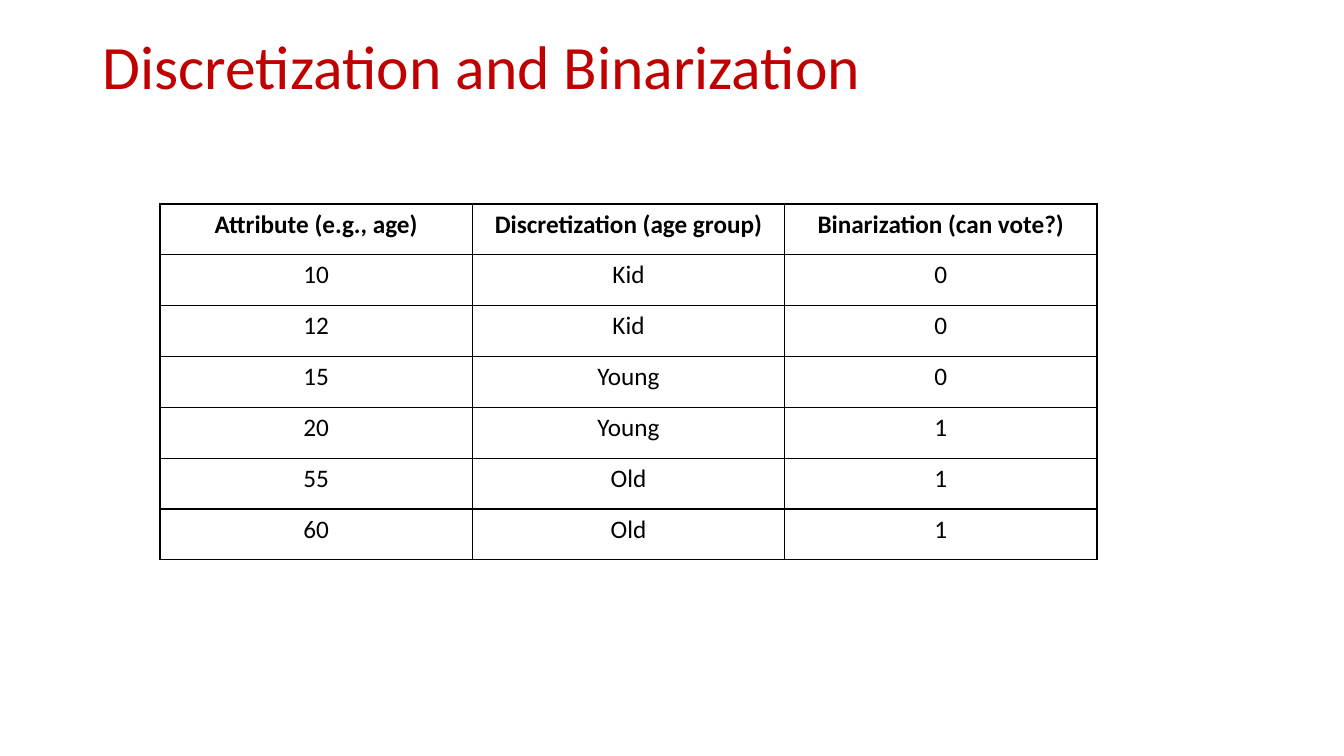
from dataclasses import dataclass

from lxml import etree
from pptx import Presentation, util as u
from pptx.dml.color import RGBColor
from pptx.enum import text
from pptx.oxml.ns import qn

EMU_PER_PX = 914400 / 100.8


def px(length):
    return u.Emu(round(length * EMU_PER_PX))


@dataclass(frozen=True)
class Theme:
    font: str = "Calibri"
    title_color: str = "C00000"
    ink: str = "000000"
    title_size: int = 44
    table_size: int = 18
    border_width: int = 1


class SlideBuilder:
    def __init__(self, slide, theme):
        self.slide = slide
        self.theme = theme

    def style(self, paragraph, size, color, bold=False):
        font = paragraph.font
        font.name, font.size, font.bold = self.theme.font, u.Pt(size), bold
        font.color.rgb = RGBColor.from_string(color)

    def title(self, left, top, width, height, words):
        shape = self.slide.shapes.add_textbox(px(left), px(top), px(width), px(height))
        frame = shape.text_frame
        frame.word_wrap = True
        frame.vertical_anchor = text.MSO_ANCHOR.MIDDLE
        paragraph = frame.paragraphs[0]
        paragraph.text = words
        paragraph.line_spacing = 0.9
        self.style(paragraph, self.theme.title_size, self.theme.title_color)

    def outline(self, cell):
        """Draw a solid border on all four sides of a cell."""
        properties = cell._tc.get_or_add_tcPr()
        for side in ("lnL", "lnR", "lnT", "lnB"):
            line = etree.SubElement(properties, qn(f"a:{side}"),
                                    w=str(u.Pt(self.theme.border_width)))
            fill = etree.SubElement(line, qn("a:solidFill"))
            etree.SubElement(fill, qn("a:srgbClr"), val=self.theme.ink)

    def table(self, left, top, width, height, rows):
        """Build an evenly spaced grid whose first row is the bold header."""
        table = self.slide.shapes.add_table(
            len(rows), len(rows[0]), px(left), px(top), px(width), px(height)).table
        table.horz_banding = False
        for column in table.columns:
            column.width = px(width / len(rows[0]))
        for row_index, values in enumerate(rows):
            table.rows[row_index].height = px(height / len(rows))
            for column_index, value in enumerate(values):
                cell = table.cell(row_index, column_index)
                self.outline(cell)
                cell.fill.background()
                paragraph = cell.text_frame.paragraphs[0]
                paragraph.text = value
                paragraph.alignment = text.PP_ALIGN.CENTER
                self.style(paragraph, self.theme.table_size, self.theme.ink,
                           bold=row_index == 0)


AGE_ROWS = [
    ("Attribute (e.g., age)", "Discretization (age group)", "Binarization (can vote?)"),
    ("10", "Kid", "0"),
    ("12", "Kid", "0"),
    ("15", "Young", "0"),
    ("20", "Young", "1"),
    ("55", "Old", "1"),
    ("60", "Old", "1"),
]


def main():
    presentation = Presentation()
    presentation.slide_width, presentation.slide_height = px(1344), px(756)
    slide = presentation.slides.add_slide(presentation.slide_layouts[6])
    builder = SlideBuilder(slide, Theme())
    builder.title(93, 11, 1159, 118, "Discretization and Binarization")
    builder.table(160, 204, 937, 356, AGE_ROWS)
    presentation.save("out.pptx")


if __name__ == "__main__":
    main()
